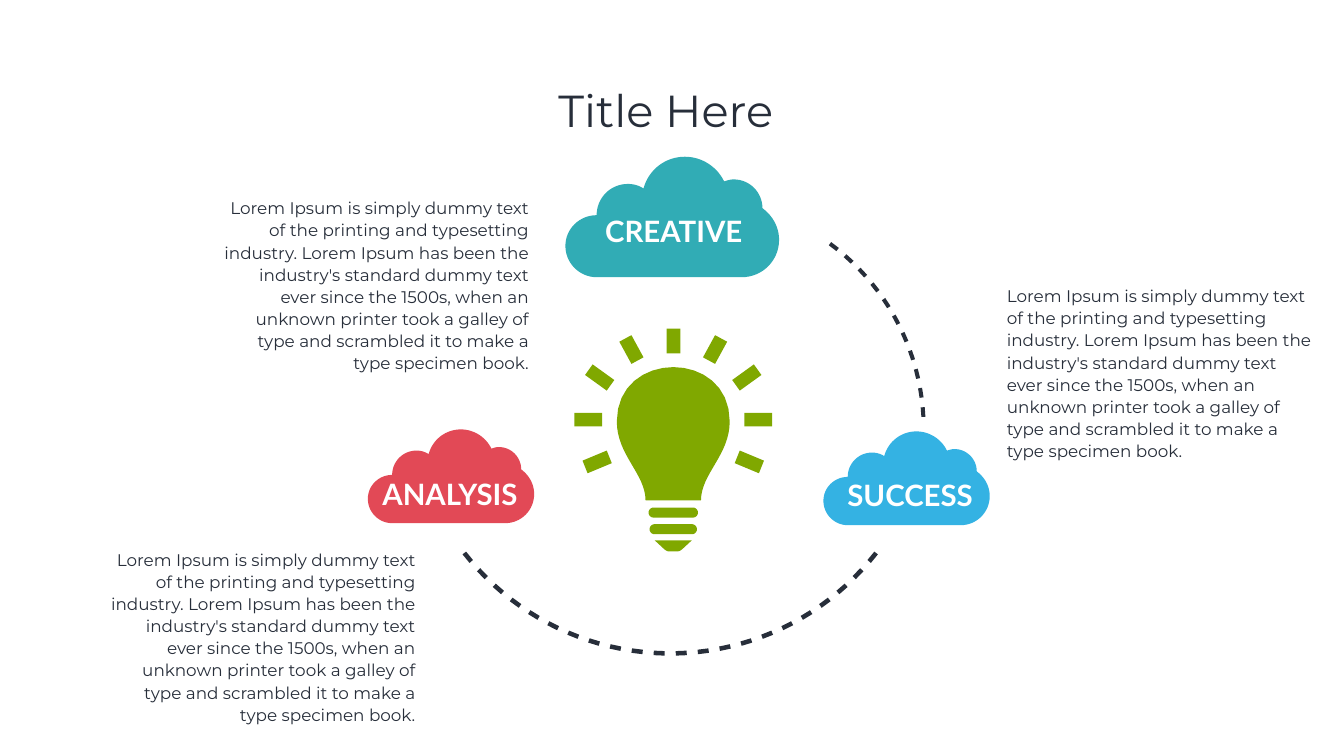
import math

from pptx import Presentation
from pptx import util as u
from pptx.dml.color import RGBColor
from pptx.enum import text

PX = 9144  # EMU in one px, 100 px to the inch
DARK, WHITE = "272E3A", "FFFFFF"
RED, TEAL, BLUE, GREEN = "E24956", "31ACB5", "34B2E3", "80A800"
LEFT, CENTER, RIGHT = text.PP_ALIGN.LEFT, text.PP_ALIGN.CENTER, text.PP_ALIGN.RIGHT

BODY = ("Lorem Ipsum is simply dummy text of the printing and typesetting industry. "
        "Lorem Ipsum has been the industry's standard dummy text ever since the 1500s, "
        "when an unknown printer took a galley of type and scrambled it to make a type "
        "specimen book.")

# Outlines: a start point, then lines (x, y) and cubic curves (x1, y1, x2, y2, x, y)
CLOUD_WIDTH = 424
CLOUD = [
    (391, 102), (391, 71, 366, 45, 334, 45), (327, 45, 321, 47, 315, 49),
    (301, 20, 271, 0, 237, 0), (198, 0, 165, 26, 155, 63),
    (146, 57, 135, 54, 124, 54), (89, 54, 62, 82, 62, 116),
    (28, 116, 0, 143, 0, 177), (0, 211, 28, 239, 62, 239), (350, 239),
    (391, 239, 424, 206, 424, 165), (424, 139, 411, 117, 391, 102),
]
BULB_AXIS = 1336
BULB_GLASS = [
    (1448, 836), (1448, 903, 1391, 940, 1391, 993), (1281, 993),
    (1281, 940, 1224, 903, 1224, 836), (1224, 693, 1448, 692, 1448, 836),
]
BULB_TIP = [
    (1299, 1072), (1319, 1090, 1321, 1094, 1328, 1094), (1343, 1094),
    (1351, 1094, 1352, 1091, 1373, 1072),
]
TOP_RAY = [(1323, 652), (1350, 652), (1350, 701), (1323, 701)]
RIGHT_RAYS = [
    [(1443, 678), (1419, 665), (1395, 709), (1419, 722)],
    [(1511, 744), (1496, 723), (1453, 754), (1468, 775)],
    [(1532, 819), (1477, 819), (1477, 846), (1532, 846)],
    [(1516, 914), (1468, 894), (1458, 919), (1506, 939)],
]


def color(hex_string):
    return RGBColor.from_string(hex_string)


def polar(center, radius, degrees):
    angle = math.radians(degrees)
    return center[0] + radius * math.cos(angle), center[1] + radius * math.sin(angle)


def flatten(outline, steps=16):
    """Turn an outline of lines and cubic curves into a list of points."""
    points = [outline[0]]
    for segment in outline[1:]:
        if len(segment) == 2:
            points.append(segment)
            continue
        controls = [points[-1], segment[:2], segment[2:4], segment[4:]]
        for step in range(1, steps + 1):
            t = step / steps
            weights = ((1 - t) ** 3, 3 * t * (1 - t) ** 2, 3 * t * t * (1 - t), t ** 3)
            points.append(tuple(sum(w * c[axis] for w, c in zip(weights, controls))
                                for axis in (0, 1)))
    return points


def add_outline(slide, contours, fill):
    """Draw closed contours as one filled freeform."""
    scaled = [[(round(x * PX), round(y * PX)) for x, y in contour] for contour in contours]
    builder = slide.shapes.build_freeform(*scaled[0][0], scale=1.0)
    for index, contour in enumerate(scaled):
        if index:
            builder.move_to(*contour[0])
        builder.add_line_segments(contour[1:], close=True)
    shape = builder.convert_to_shape()
    shape.shadow.inherit = False
    shape.fill.solid()
    shape.fill.fore_color.rgb = color(fill)
    shape.line.fill.background()


def add_dashed_arc(slide, center, outer, inner, start, end, count, dash=2.4):
    """Spread equal dashes, given in degrees, from start to end."""
    pitch = (end - start - dash) / (count - 1)
    contours = []
    for index in range(count):
        first = start + index * pitch
        last = first + dash
        contours.append([polar(center, outer, first), polar(center, outer, last),
                         polar(center, inner, last), polar(center, inner, first)])
    add_outline(slide, contours, DARK)


def add_cloud(slide, left, top, width, fill):
    ratio = width / CLOUD_WIDTH
    points = [(left + x * ratio, top + y * ratio) for x, y in flatten(CLOUD)]
    add_outline(slide, [points], fill)


def rounded_bar(left, right, middle, radius=10):
    angles = range(90, 271, 15)
    return ([polar((left + radius, middle), radius, a) for a in angles]
            + [polar((right - radius, middle), radius, a + 180) for a in angles])


def add_bulb(slide):
    left_rays = [[(2 * BULB_AXIS - x, y) for x, y in reversed(ray)] for ray in RIGHT_RAYS]
    bars = [rounded_bar(1287, 1385, 1017), rounded_bar(1289, 1383, 1050)]
    add_outline(slide, [flatten(BULB_GLASS), *bars, flatten(BULB_TIP),
                        TOP_RAY, *RIGHT_RAYS, *left_rays], GREEN)


def add_text(slide, content, left, top, width=614, height=366, size=24,
             font="Montserrat", fill=DARK, bold=False, align=LEFT, spacing=1.1,
             anchor=text.MSO_ANCHOR.TOP, inset_top=13):
    box = slide.shapes.add_textbox(left * PX, top * PX, width * PX, height * PX)
    frame = box.text_frame
    frame.word_wrap = True
    frame.vertical_anchor = anchor
    frame.margin_left = frame.margin_right = frame.margin_bottom = 0
    frame.margin_top = inset_top * PX
    paragraph = frame.paragraphs[0]
    paragraph.alignment = align
    paragraph.line_spacing = spacing
    run = paragraph.add_run()
    run.text = content
    run.font.name = font
    run.font.size = u.Pt(size)
    run.font.bold = bold
    run.font.color.rgb = color(fill)


def add_label(slide, content, left, top):
    add_text(slide, content, left, top, height=90, size=42, font="Lato", fill=WHITE,
             bold=True, align=CENTER, spacing=1.2)


def main():
    presentation = Presentation()
    presentation.slide_width = 2667 * PX
    presentation.slide_height = 1500 * PX
    slide = presentation.slides.add_slide(presentation.slide_layouts[6])

    add_dashed_arc(slide, (1330, 778), 523, 514, 38, 142, count=22)
    add_dashed_arc(slide, (1377, 851), 460, 452, -53.7, -3, count=11)

    add_cloud(slide, 730, 852, 330, RED)
    add_cloud(slide, 1122, 311, 424, TEAL)
    add_cloud(slide, 1634, 856, 330, BLUE)
    add_label(slide, "CREATIVE", 1030, 396)
    add_label(slide, "SUCCESS", 1499, 920)
    add_label(slide, "ANALYSIS", 586, 918)

    add_text(slide, BODY, 435, 376, align=RIGHT)
    add_text(slide, BODY, 210, 1073, align=RIGHT)
    add_text(slide, BODY, 1998, 550)
    add_text(slide, "Title Here", 171, 80, width=2300, height=290, size=64, align=CENTER,
             spacing=0.9, anchor=text.MSO_ANCHOR.MIDDLE, inset_top=0)
    add_bulb(slide)

    presentation.save("out.pptx")


if __name__ == "__main__":
    main()
